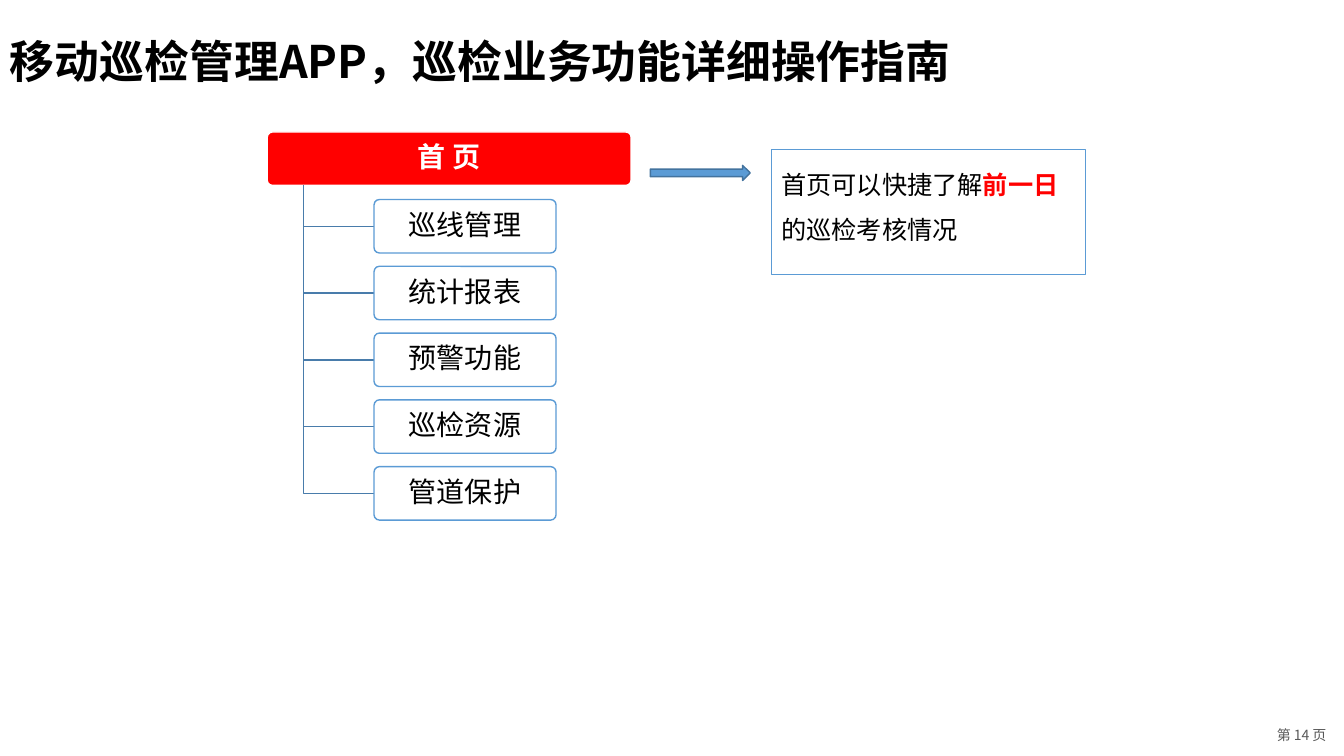
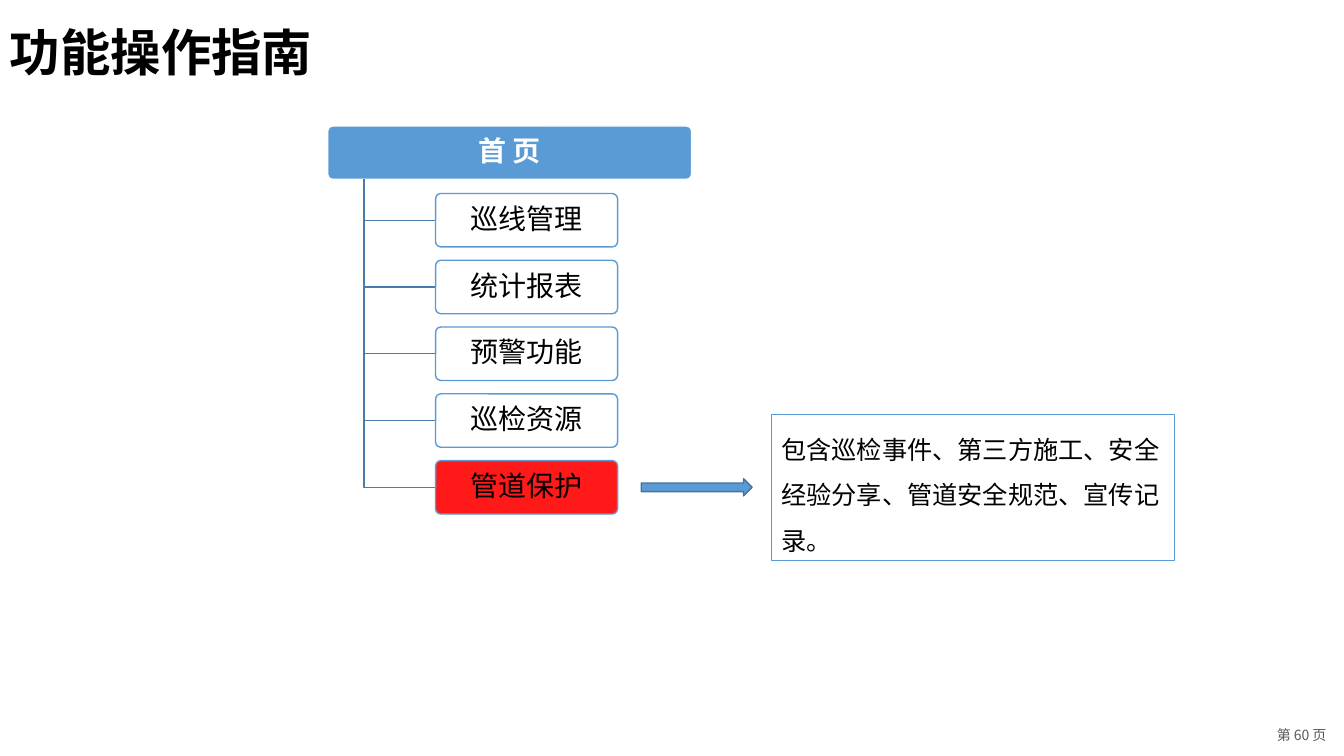
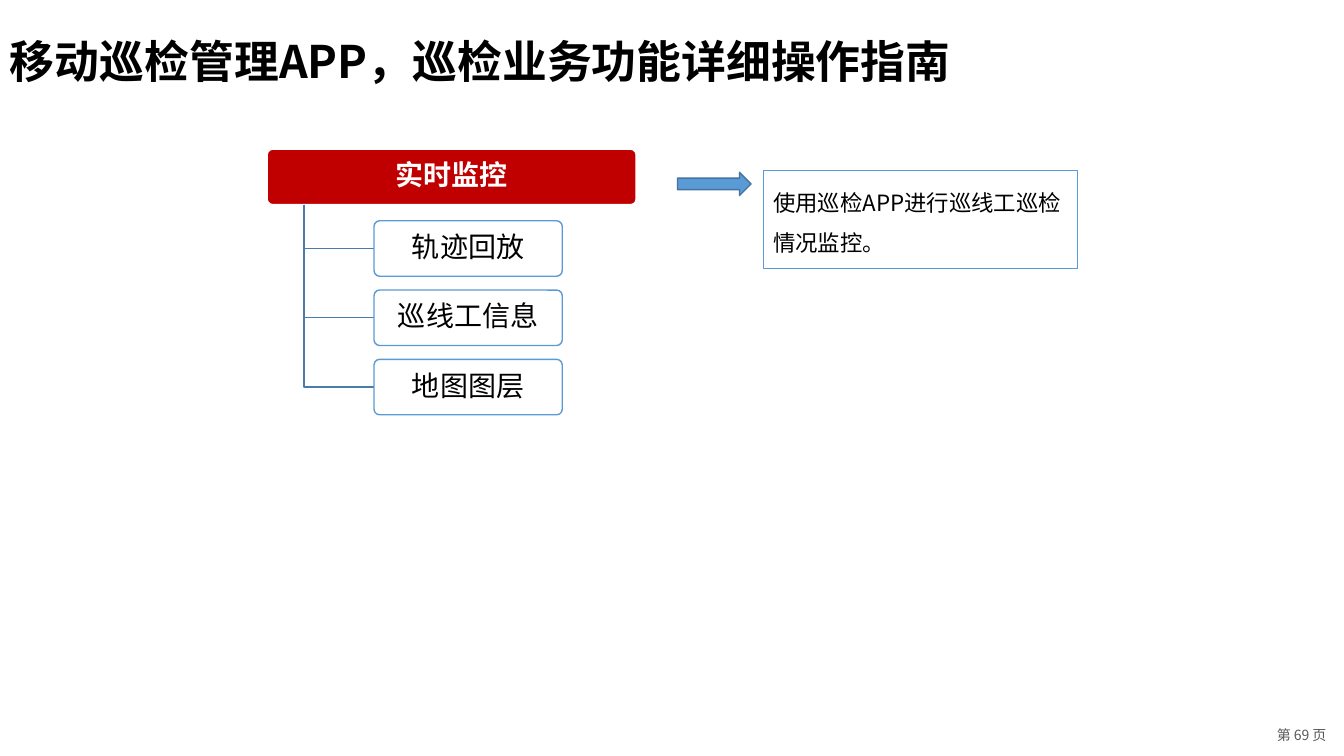
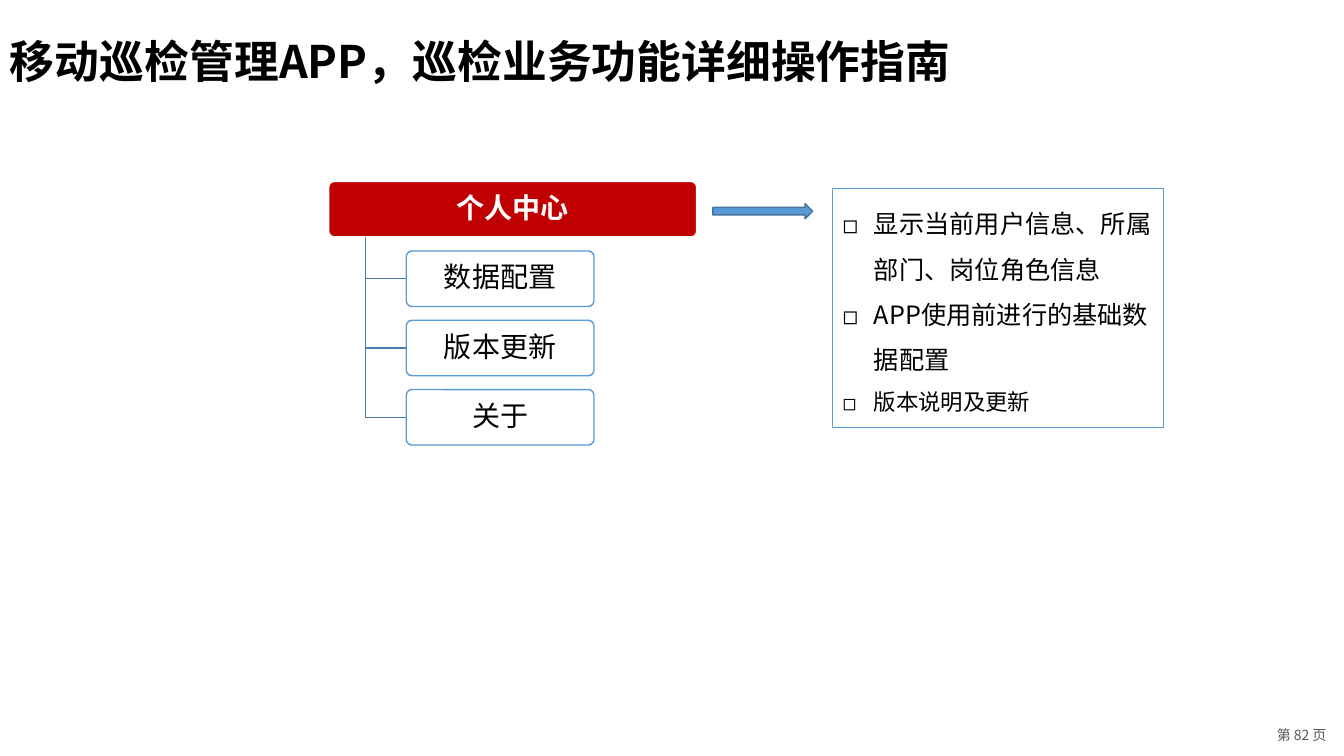
from lxml.etree import SubElement
from pptx import Presentation
from pptx.dml.color import RGBColor
from pptx.enum.shapes import MSO_SHAPE
from pptx.enum.text import MSO_ANCHOR, PP_ALIGN
from pptx.oxml.ns import qn
from pptx.util import Inches, Pt

COLORS = {
    "black": "000000",
    "white": "FFFFFF",
    "red": "FF0000",
    "dark_red": "C00000",
    "blue": "5B9BD5",
    "branch": "497CAB",
    "arrow_edge": "43739E",
    "grey": "595959",
}
CJK = "Noto Sans CJK SC"
GUIDE_TITLE = "移动巡检管理APP，巡检业务功能详细操作指南"
HOME_ITEMS = ["巡线管理", "统计报表", "预警功能", "巡检资源", "管道保护"]


def rgb(name):
    return RGBColor.from_string(COLORS[name])


def add_bullet(p, char, indent):
    pPr = p._p.get_or_add_pPr()
    pPr.set("marL", str(Inches(indent)))
    pPr.set("indent", str(-Inches(indent)))
    SubElement(pPr, qn("a:buFont"), typeface=CJK)
    SubElement(pPr, qn("a:buChar"), char=char)


def put_text(sp, paragraphs, size=18, color="black", bold=False, font=CJK,
             align=PP_ALIGN.LEFT, anchor=MSO_ANCHOR.TOP, spacing=1.0,
             inset=(0.1, 0.05), wrap=True, bullet=None):
    """Fill a shape; each paragraph is a list of (text, overrides) runs."""
    tf = sp.text_frame
    tf.word_wrap = wrap
    tf.vertical_anchor = anchor
    tf.margin_left = tf.margin_right = Inches(inset[0])
    tf.margin_top = tf.margin_bottom = Inches(inset[1])
    for i, runs in enumerate(paragraphs):
        p = tf.add_paragraph() if i else tf.paragraphs[0]
        p.alignment = align
        p.line_spacing = spacing
        if bullet:
            add_bullet(p, bullet, 0.31)
        for text, own in runs:
            r = p.add_run()
            r.text = text
            r.font.size = Pt(own.get("size", size))
            r.font.bold = own.get("bold", bold)
            r.font.color.rgb = rgb(own.get("color", color))
            r.font.name = font
            SubElement(r._r.get_or_add_rPr(), qn("a:ea"), typeface=CJK)


def add_label(slide, box, text, **fmt):
    sp = slide.shapes.add_textbox(*map(Inches, box))
    put_text(sp, [[(text, {})]], **fmt)


def add_box(slide, kind, box, fill=None, line="blue", width=1, opacity=100):
    sp = slide.shapes.add_shape(kind, *map(Inches, box))
    sp.shadow.inherit = False
    if fill:
        sp.fill.solid()
        sp.fill.fore_color.rgb = rgb(fill)
        if opacity < 100:
            clr = sp._element.spPr.find(qn("a:solidFill"))[0]
            SubElement(clr, qn("a:alpha"), val=str(opacity * 1000))
    else:
        sp.fill.background()
    sp.line.color.rgb = rgb(line)
    sp.line.width = Pt(width)
    return sp


def add_node(slide, box, text, color="black", bold=False, **style):
    sp = add_box(slide, MSO_SHAPE.ROUNDED_RECTANGLE, box, **style)
    sp.adjustments[0] = 0.1
    put_text(sp, [[(text, {})]], size=20, color=color, bold=bold, font="Arial",
             align=PP_ALIGN.CENTER, anchor=MSO_ANCHOR.MIDDLE, spacing=0.9,
             inset=(0.06, 0.05))


def add_branch(slide, x, top, right, bottom):
    """Draw the line that runs down from the root and right to a child."""
    fb = slide.shapes.build_freeform(Inches(x), Inches(top))
    fb.add_line_segments([(Inches(x), Inches(bottom)),
                          (Inches(right), Inches(bottom))], close=False)
    sp = fb.convert_to_shape()
    sp.shadow.inherit = False
    sp.fill.background()
    sp.line.color.rgb = rgb("branch")
    sp.line.width = Pt(1)


def add_tree(slide, box, root, items, root_fill, child_x=1.06, drop=0.67,
             active=None):
    """Draw a root node in the box and its children below; drop is the first step."""
    x, y, w, h = box
    add_node(slide, box, root, color="white", bold=True,
             fill=root_fill, line="white")
    for i, item in enumerate(items):
        top = y + drop + i * h * 1.25
        add_branch(slide, x + w / 10, y + h, x + child_x, top + h / 2)
        add_node(slide, (x + child_x, top, w * 0.51 if h > 0.54 else w / 2, h),
                 item, fill="red" if item == active else "white", opacity=90)


def add_note(slide, box, paragraphs, **fmt):
    sp = add_box(slide, MSO_SHAPE.RECTANGLE, box, width=0.75)
    put_text(sp, paragraphs, spacing=1.5, **fmt)


def add_arrow(slide, box):
    add_box(slide, MSO_SHAPE.RIGHT_ARROW, box, fill="blue", line="arrow_edge")


def new_slide(prs, page, title=GUIDE_TITLE, box=(0, 0, 10.34, 0.93),
              size=32, spacing=1.5):
    slide = prs.slides.add_slide(prs.slide_layouts[6])
    add_label(slide, (12.48, 7.16, 0.86, 0.27), f"第 {page} 页", size=10,
              color="grey", align=PP_ALIGN.CENTER, wrap=False)
    add_label(slide, box, title, size=size, bold=True, spacing=spacing,
              anchor=MSO_ANCHOR.MIDDLE)
    return slide


def home_slide(prs):
    slide = new_slide(prs, 14)
    add_tree(slide, (2.65, 1.31, 3.61, 0.53), "首 页", HOME_ITEMS, "red")
    add_note(slide, (7.65, 1.48, 3.12, 1.24), [[
        ("首页可以快捷了解", {}),
        ("前一日", {"color": "red", "bold": True}),
        ("的巡检考核情况", {})]])
    add_arrow(slide, (6.45, 1.64, 0.99, 0.15))


def protection_slide(prs):
    slide = new_slide(prs, 60, "功能操作指南", (0, 0.11, 13.33, 0.87), 36, 0.9)
    add_tree(slide, (3.25, 1.25, 3.61, 0.53), "首 页", HOME_ITEMS, "blue",
             child_x=1.07, active="管道保护")
    add_note(slide, (7.65, 4.11, 4, 1.45), [[
        ("包含巡检事件、第三方施工、安全经验分享、管道安全规范、宣传记录。", {})]],
        font="Arial")
    add_arrow(slide, (6.36, 4.75, 1.1, 0.17))


def monitoring_slide(prs):
    slide = new_slide(prs, 69)
    add_tree(slide, (2.65, 1.48, 3.66, 0.55), "实时监控",
             ["轨迹回放", "巡线工信息", "地图图层"], "dark_red", drop=0.71)
    add_note(slide, (7.57, 1.69, 3.12, 0.97),
             [[("使用巡检APP进行巡线工巡检情况监控。", {})]], size=16)
    add_arrow(slide, (6.72, 1.71, 0.73, 0.23))


def profile_slide(prs):
    slide = new_slide(prs, 82)
    add_tree(slide, (3.26, 1.8, 3.65, 0.55), "个人中心",
             ["数据配置", "版本更新", "关于"], "dark_red",
             child_x=0.77, drop=0.69)
    add_note(slide, (8.26, 1.87, 3.28, 2.37), [
        [("显示当前用户信息、所属部门、岗位角色信息", {})],
        [("APP使用前进行的基础数据配置", {})],
        [("版本说明及更新", {"size": 16})]], bullet="◻")
    add_arrow(slide, (7.07, 2.02, 0.99, 0.15))


def main():
    prs = Presentation()
    prs.slide_width, prs.slide_height = Inches(13.33), Inches(7.5)
    for build in (home_slide, protection_slide, monitoring_slide, profile_slide):
        build(prs)
    prs.save("out.pptx")


if __name__ == "__main__":
    main()
